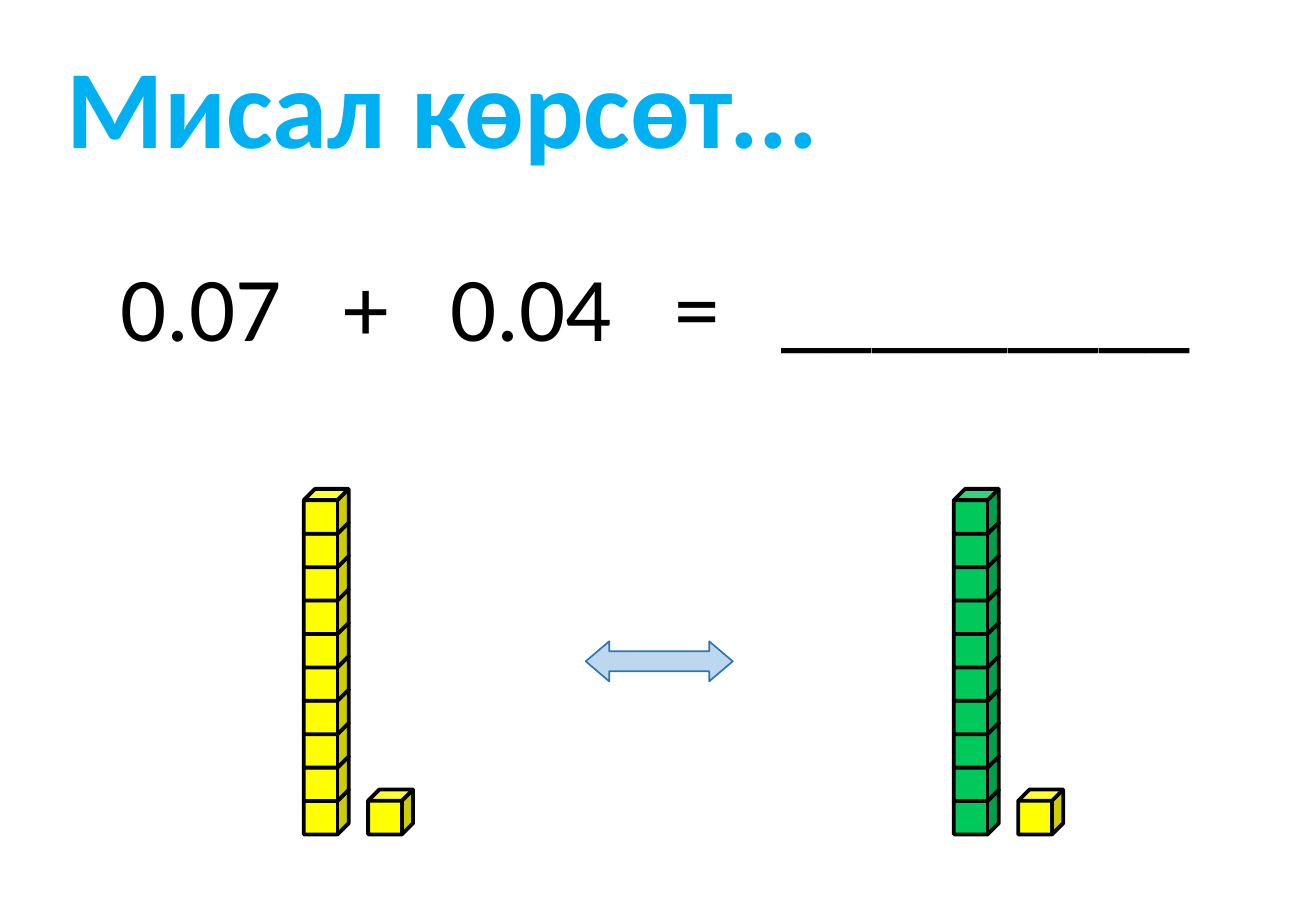
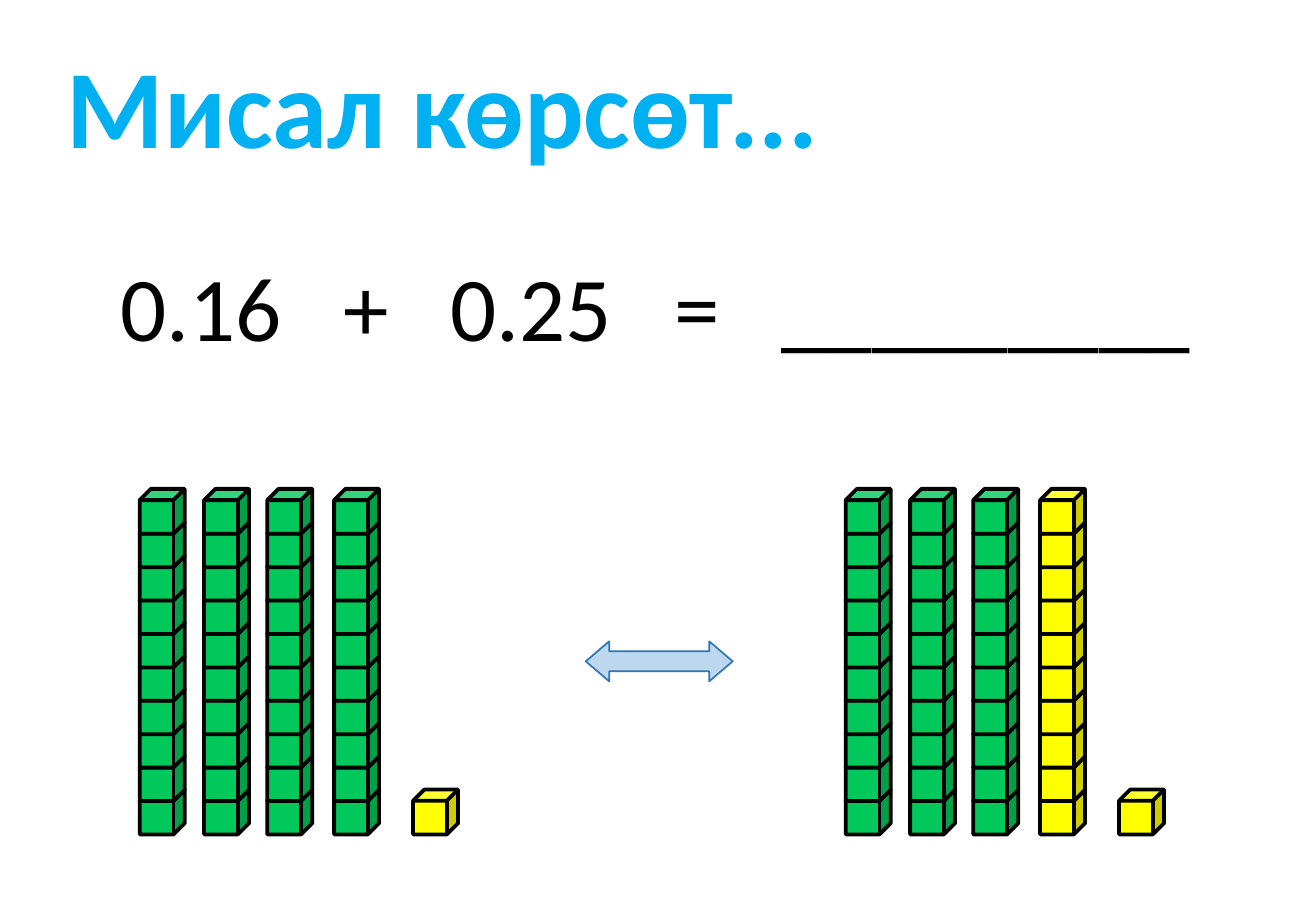
from pptx import Presentation
from pptx.dml.color import RGBColor
from pptx.enum.shapes import MSO_SHAPE as Shape
from pptx.enum.text import MSO_ANCHOR as Anchor, MSO_AUTO_SIZE as Fit, PP_ALIGN as Align
from pptx.util import Inches, Pt
from lxml.etree import SubElement
from pptx.oxml.ns import qn

BLACK, BLUE = "000000", "00B0F0"
GREEN, YELLOW = "00C85A", "FFFF00"
PALE, STEEL = "BDD7EE", "2E75B6"

CUBE = 0.37
PITCH = 0.275   # height of one cube without its top face
BASE = 6.5      # top of the lowest cube
TABS = (1.84, 2.72, 4.56, 5.44)
RODS = (0, 0.53, 1.05, 1.6)


def color(code):
    return RGBColor.from_string(code)


class Deck:
    """Holds the shared style and the current slide."""
    font = "Calibri"

    def __init__(self):
        self.prs = Presentation()
        self.prs.slide_width = Inches(10.83)
        self.prs.slide_height = Inches(7.5)
        self.slide = None

    def start(self, title):
        self.slide = self.prs.slides.add_slide(self.prs.slide_layouts[5])
        box = self.slide.shapes.title
        box.left, box.top = Inches(0.24), Inches(0.26)
        box.width, box.height = Inches(7.54), Inches(1.21)
        self.label(box.text_frame, title, 66, BLUE, 0.31, True)

    def label(self, frame, text, size, code, inset, bold=False):
        frame.text = text
        frame.word_wrap = True
        frame.auto_size = Fit.NONE
        frame.vertical_anchor = Anchor.TOP
        frame.margin_left = Inches(inset)
        line = frame.paragraphs[0]
        line.alignment = Align.LEFT
        for run in line.runs:
            font = run.font
            font.name, font.size, font.bold = self.font, Pt(size), bold
            font.color.rgb = color(code)

    def sum(self, first, second):
        """Sets the sum, its terms set apart by tab stops."""
        box = self.slide.shapes.add_textbox(
            Inches(0.87), Inches(2.01), Inches(9.1), Inches(1.01))
        text = "\t".join((first, "+", second, "=", "_________"))
        self.label(box.text_frame, text, 54, BLACK, 0.12)
        props = box.text_frame.paragraphs[0]._p.get_or_add_pPr()
        stops = SubElement(props, qn("a:tabLst"))
        for pos in TABS:
            SubElement(stops, qn("a:tab"), pos=str(Inches(pos)), algn="l")

    def shape(self, home, kind, left, top, width, height, fill, edge, weight):
        item = home.add_shape(kind, Inches(left), Inches(top),
                              Inches(width), Inches(height))
        item.shadow.inherit = False
        item.fill.solid()
        item.fill.fore_color.rgb = color(fill)
        item.line.color.rgb = color(edge)
        item.line.width = Pt(weight)
        return item

    def cube(self, left, fill, level=0, home=None):
        self.shape(home or self.slide.shapes, Shape.CUBE, left,
                   BASE - level * PITCH, CUBE, CUBE, fill, BLACK, 2.25)

    def rod(self, left, fill):
        """Stacks ten cubes in one group, from the bottom up."""
        group = self.slide.shapes.add_group_shape()
        for level in range(10):
            # An empty group's shapes are falsy, so the home is named here.
            self.shape(group.shapes, Shape.CUBE, left, BASE - level * PITCH,
                       CUBE, CUBE, fill, BLACK, 2.25)

    def blocks(self, left, fills, unit):
        """Draws a row of rods and one yellow cube, unit inches from left."""
        for step, fill in zip(RODS, fills):
            self.rod(left + step, fill)
        self.cube(left + unit, YELLOW)

    def arrow(self):
        item = self.shape(self.slide.shapes, Shape.LEFT_RIGHT_ARROW,
                          4.82, 5.28, 1.21, 0.33, PALE, STEEL, 1)
        item.adjustments[1] = 0.586


def main():
    deck = Deck()
    tasks = (
        ("0.07", "0.04", 0.53, (2.5, [YELLOW]), (7.85, [GREEN])),
        ("0.16", "0.25", 2.25, (1.15, [GREEN] * 4),
         (6.96, [GREEN] * 3 + [YELLOW])),
    )
    for first, second, unit, *sides in tasks:
        deck.start("Мисал көрсөт...")
        deck.sum(first, second)
        for left, fills in sides:
            deck.blocks(left, fills, unit)
        deck.arrow()
    deck.prs.save("out.pptx")


if __name__ == "__main__":
    main()
